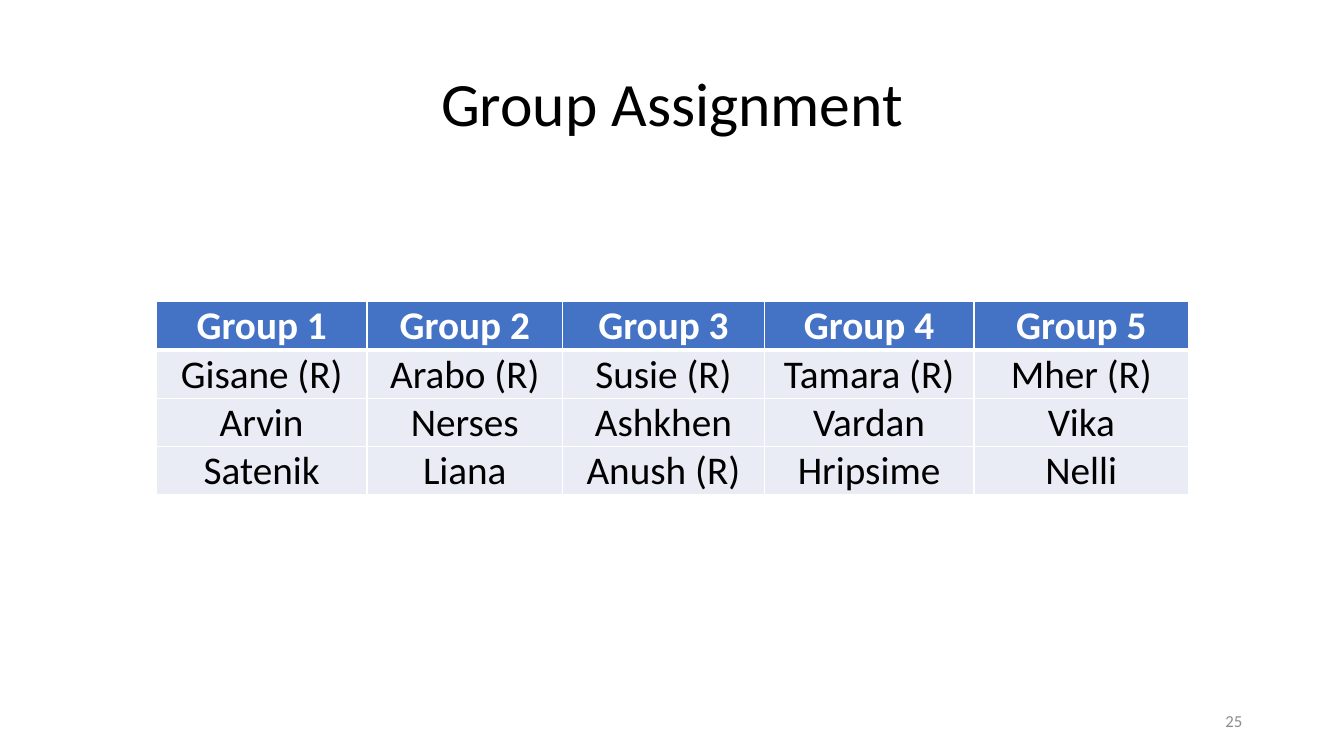
"""Build the group assignment slide."""
import dataclasses

import lxml.etree
import pptx
import pptx.dml.color
import pptx.enum.text
import pptx.oxml.ns
import pptx.util

Rgb = pptx.dml.color.RGBColor
Align = pptx.enum.text.PP_ALIGN
Anchor = pptx.enum.text.MSO_ANCHOR
SCALE = 9144


@dataclasses.dataclass(frozen=True)
class Theme:
    face: str = "Calibri"
    ink: str = "000000"
    paper: str = "FFFFFF"
    head: str = "4472C4"
    body: str = "E9EBF5"
    muted: str = "8C8C8C"
    title: int = 44
    cell: int = 28
    page: int = 12
    thin: int = 1
    thick: int = 3


@dataclasses.dataclass(frozen=True)
class Box:
    left: int
    top: int
    width: int
    height: int

    def emu(self) -> list[int]:
        return [px(side) for side in dataclasses.astuple(self)]


@dataclasses.dataclass(frozen=True)
class Group:
    width: int
    names: tuple[str, ...]


THEME = Theme()
TITLE = Box(92, 40, 1150, 132)
PAGE = Box(942, 695, 300, 40)
GRID = Box(155, 299, 1024, 192)
GROUPS = (
    Group(209, ("Gisane (R)", "Arvin", "Satenik")),
    Group(194, ("Arabo (R)", "Nerses", "Liana")),
    Group(200, ("Susie (R)", "Ashkhen", "Anush (R)")),
    Group(208, ("Tamara (R)", "Vardan", "Hripsime")),
    Group(213, ("Mher (R)", "Vika", "Nelli")),
)


def px(count: int) -> int:
    return pptx.util.Emu(count * SCALE)


def write(frame, text: str, size: int, color: str, align, bold: bool = False) -> None:
    frame.text = text
    frame.word_wrap = True
    line = frame.paragraphs[0]
    line.alignment = align
    font = line.font
    font.name = THEME.face
    font.size = pptx.util.Pt(size)
    font.bold = bold
    font.color.rgb = Rgb.from_string(color)


def edge(cell, side: str, width: int) -> None:
    qn = pptx.oxml.ns.qn
    props = cell._tc.get_or_add_tcPr()
    line = lxml.etree.SubElement(props, qn(f"a:ln{side}"), w=str(pptx.util.Pt(width)))
    fill = lxml.etree.SubElement(line, qn("a:solidFill"))
    lxml.etree.SubElement(fill, qn("a:srgbClr"), val=THEME.paper)


def draw_cell(cell, text: str, row: int) -> None:
    head = row == 0
    write(cell.text_frame, text, THEME.cell, THEME.paper if head else THEME.ink,
          Align.CENTER, head)
    cell.vertical_anchor = Anchor.BOTTOM
    cell.margin_left = cell.margin_right = cell.margin_top = px(1)
    cell.margin_bottom = 0
    for side in "LRTB":
        rule = (row, side) in ((0, "B"), (1, "T"))
        edge(cell, side, THEME.thick if rule else THEME.thin)
    cell.fill.solid()
    cell.fill.fore_color.rgb = Rgb.from_string(THEME.head if head else THEME.body)


def draw_grid(slide, groups: tuple[Group, ...]) -> None:
    rows = len(groups[0].names) + 1
    table = slide.shapes.add_table(rows, len(groups), *GRID.emu()).table
    for col, group in enumerate(groups):
        table.columns[col].width = px(group.width)
        for row, text in enumerate((f"Group {col + 1}", *group.names)):
            draw_cell(table.cell(row, col), text, row)


def main() -> None:
    deck = pptx.Presentation()
    deck.slide_width, deck.slide_height = px(1333), px(750)
    slide = deck.slides.add_slide(deck.slide_layouts.get_by_name("Title Only"))

    title = slide.shapes.title
    title.left, title.top, title.width, title.height = TITLE.emu()
    write(title.text_frame, "Group Assignment", THEME.title, THEME.ink, Align.CENTER)
    title.text_frame.vertical_anchor = Anchor.MIDDLE
    title.text_frame.paragraphs[0].line_spacing = 0.9

    page = slide.shapes.add_textbox(*PAGE.emu()).text_frame
    write(page, "25", THEME.page, THEME.muted, Align.RIGHT)
    page.vertical_anchor = Anchor.MIDDLE

    draw_grid(slide, GROUPS)
    deck.save("out.pptx")


if __name__ == "__main__":
    main()
